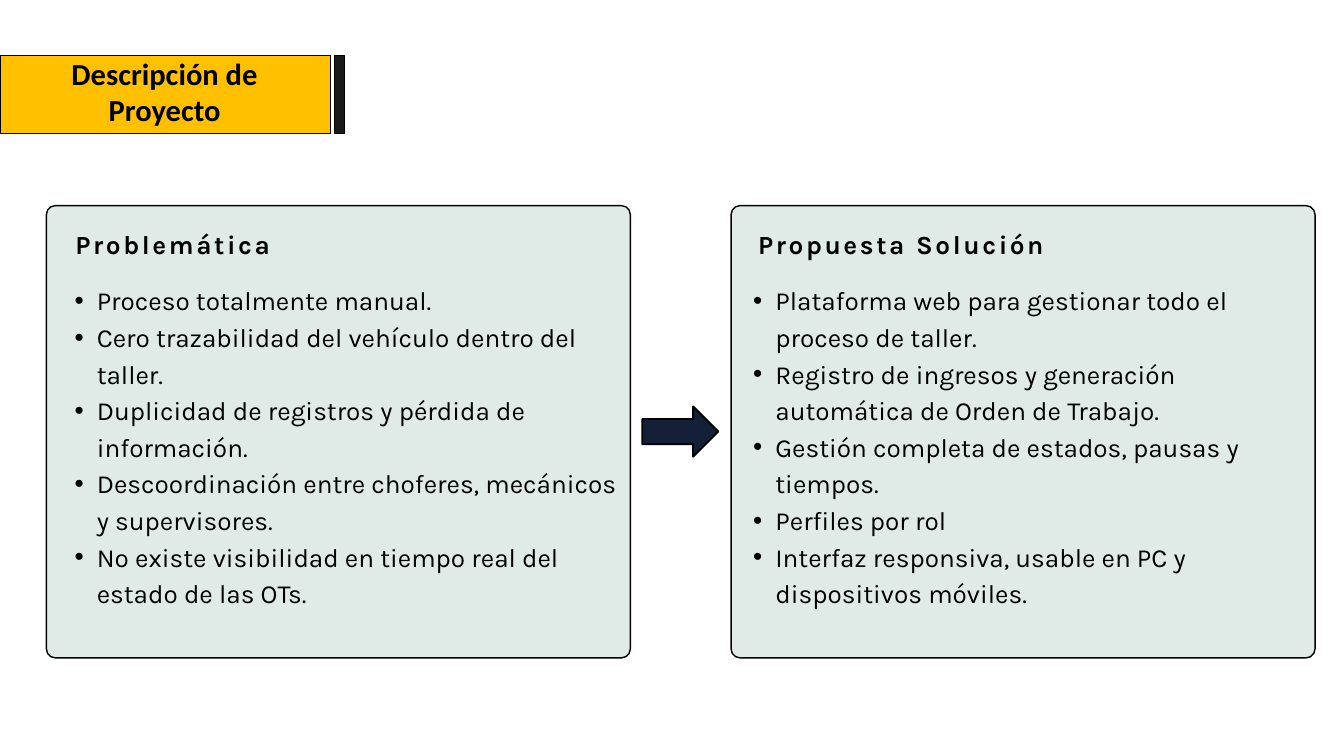
from lxml import etree
from pptx import Presentation
from pptx.dml.color import RGBColor
from pptx.enum.shapes import MSO_SHAPE
from pptx.enum.text import MSO_ANCHOR, MSO_AUTO_SIZE, PP_ALIGN
from pptx.oxml.ns import qn
from pptx.util import Pt

RECTANGLE = MSO_SHAPE.RECTANGLE
ROUNDED = MSO_SHAPE.ROUNDED_RECTANGLE
ARROW = MSO_SHAPE.RIGHT_ARROW
TOP = MSO_ANCHOR.TOP
NO_FIT = MSO_AUTO_SIZE.NONE
LEFT = PP_ALIGN.LEFT
CENTER = PP_ALIGN.CENTER

BLACK = RGBColor(0x00, 0x00, 0x00)
AMBER = RGBColor(0xFF, 0xC0, 0x00)
CHARCOAL = RGBColor(0x1A, 0x1A, 0x1A)
NAVY = RGBColor(0x13, 0x20, 0x38)
MINT = RGBColor(0xE0, 0xEB, 0xE7)

deck = Presentation()
deck.slide_width = Pt(1440)
deck.slide_height = Pt(810)
page = deck.slides.add_slide(deck.slide_layouts.get_by_name("Comparison"))
title, left_heading, left_list, right_heading, right_list = page.placeholders


def write(box, lines, place, font="Karla", size=28, bold=False, align=LEFT,
          leading=39.2, tracking=0, bullet=False):
    box.left, box.top, box.width, box.height = [Pt(value) for value in place]
    frame = box.text_frame
    frame.text = "\n".join(lines)
    frame.word_wrap = True
    frame.auto_size = NO_FIT
    frame.vertical_anchor = TOP
    frame.margin_left = frame.margin_top = 0
    frame.margin_right = frame.margin_bottom = 0
    for para in frame.paragraphs:
        para.alignment = align
        para.line_spacing = Pt(leading)
        para.space_before = para.space_after = Pt(0)
        properties = para._p.get_or_add_pPr()
        if bullet:
            para.level = 1
            properties.set("marL", str(Pt(47.5)))
            properties.set("indent", str(-Pt(23.75)))
            etree.SubElement(properties, qn("a:buFont")).set("typeface", "Arial")
            etree.SubElement(properties, qn("a:buChar")).set("char", "•")
        for span in para.runs:
            span.font.name = font
            span.font.size = Pt(size)
            span.font.bold = bold
            span.font.color.rgb = BLACK
            if tracking:
                span.font._element.set("spc", str(round(tracking * 100)))


CARD_TOP, CARD_WIDTH, CARD_HEIGHT = 220.3, 625.7, 484.6
for kind, place, color, weight in [
    (RECTANGLE, (0, 59.2, 354.4, 83.8), AMBER, 1),
    (RECTANGLE, (358.2, 59.2, 10.7, 83.8), CHARCOAL, 1),
    (ARROW, (688.1, 435.4, 81.5, 54), NAVY, 2),
    (ROUNDED, (49.7, CARD_TOP, CARD_WIDTH, CARD_HEIGHT), MINT, 1.5),
    (ROUNDED, (783.3, CARD_TOP, CARD_WIDTH, CARD_HEIGHT), MINT, 1.5),
]:
    shape = page.shapes.add_shape(kind, *[Pt(value) for value in place])
    shape.shadow.inherit = False
    shape.fill.solid()
    shape.fill.fore_color.rgb = color
    shape.line.color.rgb = BLACK
    shape.line.width = Pt(weight)
    if kind == ROUNDED:
        shape.adjustments[0] = 0.02
    title.element.addprevious(shape.element)

write(title, ["Descripción de", "Proyecto"], (7.2, 58.5, 338.4, 84.2),
      font="Calibri", size=32.7, bold=True, align=CENTER, leading=39.3)

for heading, text, heading_left, body, items, body_left in [
    (left_heading, "Problemática", 80.8, left_list, [
        "Proceso totalmente manual.",
        "Cero trazabilidad del vehículo dentro del taller.",
        "Duplicidad de registros y pérdida de información.",
        "Descoordinación entre choferes, mecánicos y supervisores.",
        "No existe visibilidad en tiempo real del estado de las OTs.",
    ], 56.2),
    (right_heading, "Propuesta Solución", 812.2, right_list, [
        "Plataforma web para gestionar todo el proceso de taller.",
        "Registro de ingresos y generación automática de Orden de Trabajo.",
        "Gestión completa de estados, pausas y tiempos.",
        "Perfiles por rol",
        "Interfaz responsiva, usable en PC y dispositivos móviles.",
    ], 783.3),
]:
    write(heading, [text], (heading_left, 244.8, 349.2, 33.1),
          bold=True, leading=33.6, tracking=2.8)
    write(body, items, (body_left, 299.5, 608.4, 350), bullet=True)

deck.save("out.pptx")
